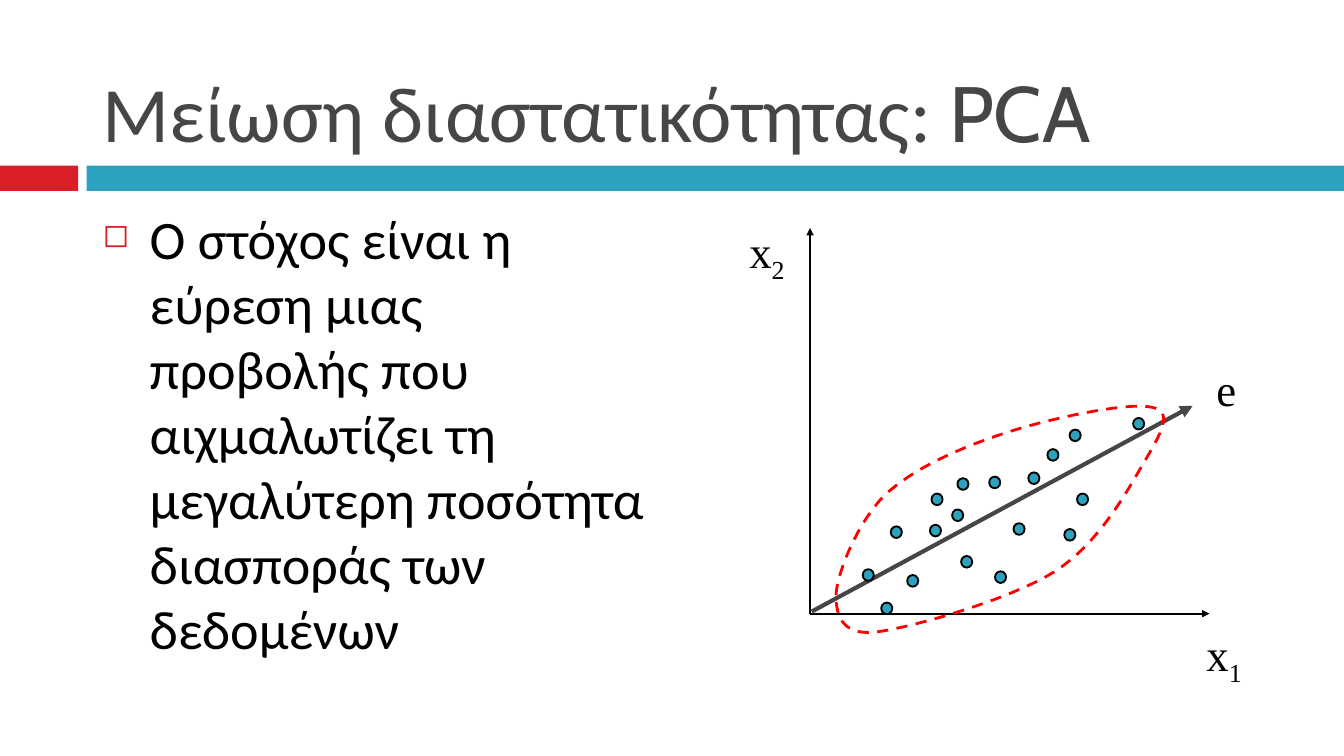
from typing import NamedTuple

import lxml.etree
import pptx
import pptx.dml.color
import pptx.enum.dml
import pptx.enum.shapes
import pptx.enum.text
import pptx.oxml.ns
import pptx.util

Cm = pptx.util.Cm
Pt = pptx.util.Pt
ANCHOR = pptx.enum.text.MSO_ANCHOR
ALIGN = pptx.enum.text.PP_ALIGN
SHAPE = pptx.enum.shapes.MSO_SHAPE

COLORS = {
    "red": "DA1F28",
    "teal": "2DA2BF",
    "gray": "464646",
    "black": "000000",
    "outline": "FF0000",
}


class Point(NamedTuple):
    x: float
    y: float


class Box(NamedTuple):
    left: float
    top: float
    width: float
    height: float


class Run(NamedTuple):
    text: str
    font: str
    subscript: bool = False


class Arrow(NamedTuple):
    start: Point
    end: Point
    color: str
    width: float
    head: str


class AxisLabel(NamedTuple):
    box: Box
    letter: str
    index: str = ""


ORIGIN = Point(15.31, 11.6)
ARROWS = [
    Arrow(ORIGIN, Point(ORIGIN.x, 4.31), "black", 1, "sm"),
    Arrow(ORIGIN, Point(22.86, ORIGIN.y), "black", 1, "sm"),
    Arrow(Point(15.34, 11.56), Point(22.54, 7.67), "gray", 2.25, "med"),
]
LABELS = [
    AxisLabel(Box(13.91, 4.09, 1.17, 1.42), "x", "2"),
    AxisLabel(Box(22.55, 11.71, 1.17, 1.42), "x", "1"),
    AxisLabel(Box(22.73, 6.71, 0.89, 1.27), "e"),
]
DOT_WIDTH, DOT_HEIGHT = 0.21, 0.22
DOTS = [
    Point(16.94, 10.06), Point(17.71, 9.44), Point(16.41, 10.87),
    Point(18.1, 9.74), Point(17.68, 10.03), Point(19.26, 10),
    Point(18.91, 10.91), Point(18.27, 10.62), Point(18.8, 9.12),
    Point(20.46, 9.44), Point(21.52, 8.01), Point(17.25, 10.98),
    Point(19.54, 9.04), Point(20.32, 8.23), Point(18.2, 9.15),
    Point(19.9, 8.6), Point(20.22, 10.11), Point(16.76, 11.5),
]
CLUSTER_START = Point(15.8, 11.25)
CLUSTER_CURVES = [
    (Point(15.82, 10.82), Point(16.21, 9.88), Point(16.71, 9.37)),
    (Point(17.25, 8.86), Point(18.11, 8.48), Point(18.95, 8.2)),
    (Point(19.79, 7.92), Point(21.31, 7.59), Point(21.77, 7.7)),
    (Point(22.2, 7.77), Point(21.92, 8.23), Point(21.62, 8.74)),
    (Point(21.31, 9.27), Point(20.78, 10.26), Point(19.94, 10.8)),
    (Point(19.1, 11.33), Point(17.3, 11.84), Point(16.61, 11.94)),
    (Point(15.93, 12.04), Point(15.8, 11.66), CLUSTER_START),
]
CURVE_STEPS = 16


def rgb(name: str) -> pptx.dml.color.RGBColor:
    """Return the named palette colour."""
    return pptx.dml.color.RGBColor.from_string(COLORS[name])


def add_xml(parent, tag: str, **attributes: str):
    """Append a DrawingML element to a parent."""
    element = lxml.etree.SubElement(parent, pptx.oxml.ns.qn(tag))
    for name, value in attributes.items():
        element.set(name, value)
    return element


def add_bullet(paragraph, character: str, color: str, percent: int, indent: float) -> None:
    """Give a paragraph a coloured bullet with a hanging indent."""
    properties = paragraph._p.get_or_add_pPr()
    properties.set("marL", str(Cm(indent)))
    properties.set("indent", str(-Cm(indent)))
    add_xml(add_xml(properties, "a:buClr"), "a:srgbClr", val=COLORS[color])
    add_xml(properties, "a:buSzPct", val=str(percent * 1000))
    add_xml(properties, "a:buChar", char=character)


def add_text(slide, box: Box, runs: list[Run], *, size: float, color: str = "black",
             anchor=ANCHOR.TOP, align=ALIGN.LEFT, wrap: bool = True,
             margins: tuple = (0.25, 0.13, 0.25, 0.13)):
    """Add a text box and return its paragraph."""
    frame = slide.shapes.add_textbox(*map(Cm, box)).text_frame
    frame.word_wrap = wrap
    frame.vertical_anchor = anchor
    frame.margin_left, frame.margin_top, frame.margin_right, frame.margin_bottom = map(Cm, margins)
    paragraph = frame.paragraphs[0]
    paragraph.alignment = align
    for item in runs:
        run = paragraph.add_run()
        run.text = item.text
        run.font.name = item.font
        run.font.size = Pt(size)
        run.font.color.rgb = rgb(color)
        if item.subscript:
            run.font._element.set("baseline", "-25000")
    return paragraph


def add_filled(slide, preset, box: Box, fill: str, line: str = "") -> None:
    """Add a filled preset shape with an optional outline."""
    shape = slide.shapes.add_shape(preset, *map(Cm, box))
    shape.shadow.inherit = False
    shape.fill.solid()
    shape.fill.fore_color.rgb = rgb(fill)
    if line:
        shape.line.color.rgb = rgb(line)
        shape.line.width = Pt(1)
    else:
        shape.line.fill.background()


def add_arrow(slide, arrow: Arrow) -> None:
    """Add a straight arrow."""
    connector = slide.shapes.add_connector(
        pptx.enum.shapes.MSO_CONNECTOR.STRAIGHT, *map(Cm, arrow.start + arrow.end))
    connector.line.color.rgb = rgb(arrow.color)
    connector.line.width = Pt(arrow.width)
    add_xml(connector.line._get_or_add_ln(), "a:tailEnd",
            type="triangle", w=arrow.head, len=arrow.head)
    add_xml(connector._element.spPr, "a:effectLst")


def curve_points(start: Point, curves: list) -> list[Point]:
    """Sample a chain of cubic Bézier curves."""
    points = []
    for first, second, end in curves:
        for step in range(1, CURVE_STEPS + 1):
            t = step / CURVE_STEPS
            weights = ((1 - t) ** 3, 3 * t * (1 - t) ** 2, 3 * t * t * (1 - t), t ** 3)
            controls = (start, first, second, end)
            points.append(Point(sum(w * p.x for w, p in zip(weights, controls)),
                                sum(w * p.y for w, p in zip(weights, controls))))
        start = end
    return points


def add_cluster(slide) -> None:
    """Add the dashed outline around the data points."""
    builder = slide.shapes.build_freeform(*map(Cm, CLUSTER_START), scale=1)
    points = curve_points(CLUSTER_START, CLUSTER_CURVES)
    builder.add_line_segments([(Cm(point.x), Cm(point.y)) for point in points], close=True)
    shape = builder.convert_to_shape()
    shape.shadow.inherit = False
    shape.fill.background()
    shape.line.color.rgb = rgb("outline")
    shape.line.width = Pt(1.5)
    shape.line.dash_style = pptx.enum.dml.MSO_LINE.DASH


def main() -> None:
    """Build and save the slide."""
    presentation = pptx.Presentation()
    presentation.slide_width, presentation.slide_height = Cm(25.4), Cm(14.29)
    slide = presentation.slides.add_slide(presentation.slide_layouts[6])

    add_filled(slide, SHAPE.RECTANGLE, Box(0, 3.13, 1.48, 0.48), "red")
    add_filled(slide, SHAPE.RECTANGLE, Box(1.64, 3.13, 23.76, 0.48), "teal")
    add_text(slide, Box(1.69, 0.33, 22.66, 2.79),
             [Run("Μείωση διαστατικότητας:", "Calibri"), Run(" PCA", "Cabin")],
             size=42, color="gray", anchor=ANCHOR.BOTTOM)
    goal = add_text(slide, Box(1.69, 3.76, 10.8, 9.07),
                    [Run("Ο στόχος είναι η εύρεση μιας προβολής που αιχμαλωτίζει τη "
                         "μεγαλύτερη ποσότητα διασποράς των δεδομένων", "Calibri")],
                    size=29)
    add_bullet(goal, "◻", "red", 60, 0.89)

    for arrow in ARROWS:
        add_arrow(slide, arrow)
    add_cluster(slide)
    for dot in DOTS:
        box = Box(dot.x - DOT_WIDTH / 2, dot.y - DOT_HEIGHT / 2, DOT_WIDTH, DOT_HEIGHT)
        add_filled(slide, SHAPE.OVAL, box, "teal", "black")
    for label in LABELS:
        runs = [Run(label.letter, "Times New Roman")]
        if label.index:
            runs.append(Run(label.index, "Times New Roman", subscript=True))
        add_text(slide, label.box, runs, size=24, anchor=ANCHOR.MIDDLE,
                 align=ALIGN.CENTER, wrap=False)

    presentation.save("out.pptx")


if __name__ == "__main__":
    main()
